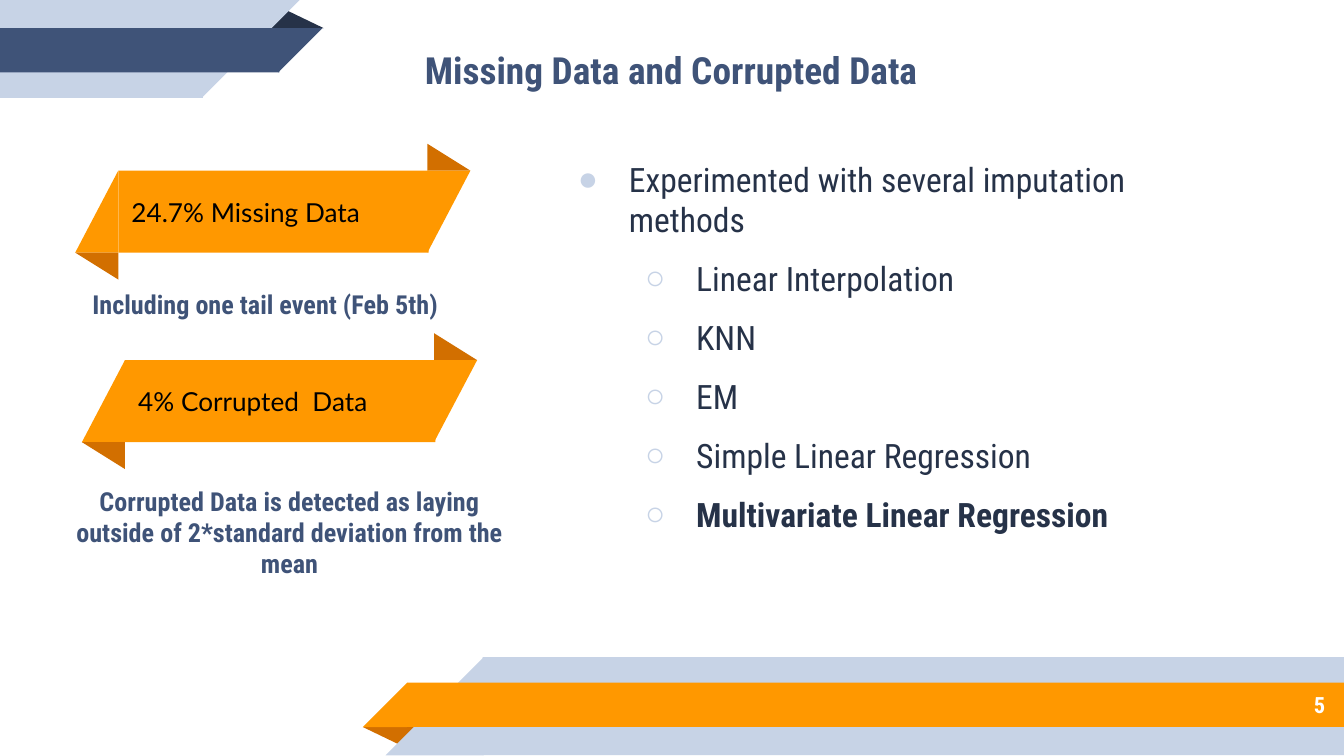
from dataclasses import dataclass

from lxml.etree import SubElement
from pptx import Presentation
from pptx.dml.color import RGBColor
from pptx.enum.shapes import MSO_SHAPE as Shape
from pptx.enum.text import MSO_ANCHOR as Anchor, MSO_AUTO_SIZE as AutoSize, PP_ALIGN as Align
from pptx.oxml.ns import qn
from pptx.util import Inches, Pt


@dataclass(frozen=True)
class Theme:
    heading_font: str = "Roboto Condensed"
    label_font: str = "Lato"
    navy: str = "3F5378"
    ink: str = "263248"
    pale: str = "C7D3E6"
    orange: str = "FF9800"
    fold: str = "D26F00"
    white: str = "FFFFFF"
    black: str = "000000"
    title_size: int = 20
    list_size: int = 18
    label_size: int = 14
    number_size: int = 12


@dataclass(frozen=True)
class Box:
    left: float
    top: float
    width: float
    height: float

    def lengths(self) -> tuple:
        return tuple(Inches(v) for v in (self.left, self.top, self.width, self.height))


@dataclass(frozen=True)
class Piece:
    kind: Shape
    box: Box
    color: str
    flip: str = ""
    rotation: int = 0
    peak: float | None = None


@dataclass(frozen=True)
class Ribbon:
    left: float
    top: float
    label: str


@dataclass(frozen=True)
class Caption:
    placeholder: int
    box: Box
    text: str


@dataclass(frozen=True)
class Method:
    text: str
    level: int = 1
    bold: bool = False


THEME = Theme()
RECT, CORNER, FOLD = Shape.RECTANGLE, Shape.RIGHT_TRIANGLE, Shape.ISOSCELES_TRIANGLE
BANDS = [
    Piece(FOLD, Box(2.7, 5.41, 0.43, 0.14), THEME.fold, rotation=180, peak=0.324),
    Piece(RECT, Box(3.59, 4.89, 6.41, 0.73), THEME.pale),
    Piece(CORNER, Box(2.87, 4.89, 0.73, 0.73), THEME.pale, "flipH"),
    Piece(RECT, Box(3.03, 5.08, 6.97, 0.33), THEME.orange),
    Piece(CORNER, Box(2.7, 5.08, 0.33, 0.33), THEME.orange, "flipH"),
    Piece(FOLD, Box(1.98, 0.07, 0.43, 0.14), THEME.ink, peak=0.324),
    Piece(RECT, Box(0, 0, 1.51, 0.73), THEME.pale),
    Piece(CORNER, Box(1.5, 0, 0.73, 0.73), THEME.pale, "flipV"),
    Piece(RECT, Box(0, 0.21, 2.08, 0.33), THEME.navy),
    Piece(CORNER, Box(2.07, 0.21, 0.33, 0.33), THEME.navy, "flipV"),
]
RIBBONS = [Ribbon(0.56, 1.07, "24.7% Missing Data"), Ribbon(0.61, 2.48, "4% Corrupted  Data")]
CAPTIONS = [
    Caption(1, Box(0.24, 1.93, 3.47, 0.67), "Including one tail event (Feb 5th)"),
    Caption(3, Box(0.33, 3.33, 3.65, 1.26),
            "Corrupted Data is detected as laying outside of 2*standard deviation from the mean"),
]
METHODS = [
    Method("Experimented with several imputation methods", level=0),
    Method("Linear Interpolation"),
    Method("KNN"),
    Method("EM"),
    Method("Simple Linear Regression"),
    Method("Multivariate Linear Regression", bold=True),
]


def draw_piece(slide, piece: Piece):
    shape = slide.shapes.add_shape(piece.kind, *piece.box.lengths())
    shape.shadow.inherit = False
    shape.fill.solid()
    shape.fill.fore_color.rgb = RGBColor.from_string(piece.color)
    shape.line.fill.background()
    shape.rotation = piece.rotation
    if piece.flip:
        shape._element.spPr.find(qn("a:xfrm")).set(piece.flip, "1")
    if piece.peak is not None:
        shape.adjustments[0] = piece.peak
    return shape


def prepare_frame(shape, anchor: Anchor = Anchor.MIDDLE):
    frame = shape.text_frame
    frame.word_wrap = True
    frame.auto_size = AutoSize.NONE
    frame.vertical_anchor = anchor
    frame.margin_left = frame.margin_right = frame.margin_top = frame.margin_bottom = Inches(0.1)
    return frame


def place(shape, box: Box) -> None:
    shape.left, shape.top, shape.width, shape.height = box.lengths()


def write(paragraph, text: str, size: int, color: str, align: Align = Align.LEFT,
          bold: bool = False, font: str = THEME.heading_font) -> None:
    paragraph.alignment = align
    run = paragraph.add_run()
    run.text = text
    run.font.name, run.font.size, run.font.bold = font, Pt(size), bold
    run.font.color.rgb = RGBColor.from_string(color)


def draw_ribbon(slide, ribbon: Ribbon) -> None:
    end, body, height, fold, overlap = 0.32, 2.3, 0.61, 0.2, 0.01
    inner, top = ribbon.left + end, ribbon.top + fold
    right = inner + body
    draw_piece(slide, Piece(FOLD, Box(right, ribbon.top, end, fold), THEME.fold, peak=0))
    banner = draw_piece(slide, Piece(RECT, Box(inner, top, body + overlap, height), THEME.orange))
    write(prepare_frame(banner).paragraphs[0], ribbon.label, THEME.label_size, THEME.black,
          font=THEME.label_font)
    draw_piece(slide, Piece(CORNER, Box(right, top, end, height), THEME.orange, "flipV"))
    draw_piece(slide, Piece(CORNER, Box(ribbon.left, top, end, height), THEME.orange, "flipH"))
    draw_piece(slide, Piece(FOLD, Box(ribbon.left, top + height, end, fold), THEME.fold,
                            rotation=180, peak=0))


def draw_caption(slide, caption: Caption) -> None:
    holder = slide.placeholders[caption.placeholder]
    place(holder, caption.box)
    paragraph = prepare_frame(holder).paragraphs[0]
    paragraph.space_before, paragraph.space_after = Pt(6), Pt(10)
    write(paragraph, caption.text, THEME.label_size, THEME.navy, Align.CENTER, bold=True)


def add_bullet(paragraph, level: int) -> None:
    properties = paragraph._p.get_or_add_pPr()
    properties.set("marL", str(Inches(0.5 * (level + 1))))
    properties.set("indent", str(Inches(-0.38)))
    color = SubElement(properties, qn("a:buClr"))
    SubElement(color, qn("a:srgbClr"), val=THEME.pale)
    SubElement(properties, qn("a:buChar"), char="●○"[level])


def draw_methods(slide, methods: list[Method]) -> None:
    holder = slide.placeholders[2]
    place(holder, Box(4.08, 1.08, 4.91, 3.37))
    frame = prepare_frame(holder, Anchor.TOP)
    for index, method in enumerate(methods):
        paragraph = frame.add_paragraph() if index else frame.paragraphs[0]
        paragraph.level = method.level
        paragraph.space_before = Pt(10 * method.level)
        add_bullet(paragraph, method.level)
        write(paragraph, method.text, THEME.list_size, THEME.ink, bold=method.bold)


def main() -> None:
    """Build the slide on missing and corrupted data."""
    deck = Presentation()
    deck.slide_width = Inches(10)
    deck.slide_height = deck.slide_width * 9 // 16
    slide = deck.slides.add_slide(deck.slide_layouts.get_by_name("Comparison"))
    spare = slide.placeholders[4]._element
    spare.getparent().remove(spare)
    for band in BANDS:
        draw_piece(slide, band)
    number = slide.shapes.add_textbox(*Box(8.33, 5.07, 1.63, 0.35).lengths())
    write(prepare_frame(number).paragraphs[0], "5", THEME.number_size, THEME.white,
          Align.RIGHT, bold=True)
    title = slide.shapes.title
    place(title, Box(2.12, 0.1, 5.75, 0.84))
    write(prepare_frame(title).paragraphs[0], "Missing Data and Corrupted Data",
          THEME.title_size, THEME.navy, Align.CENTER, bold=True)
    for ribbon in RIBBONS:
        draw_ribbon(slide, ribbon)
    for caption in CAPTIONS:
        draw_caption(slide, caption)
    draw_methods(slide, METHODS)
    deck.save("out.pptx")


main()
